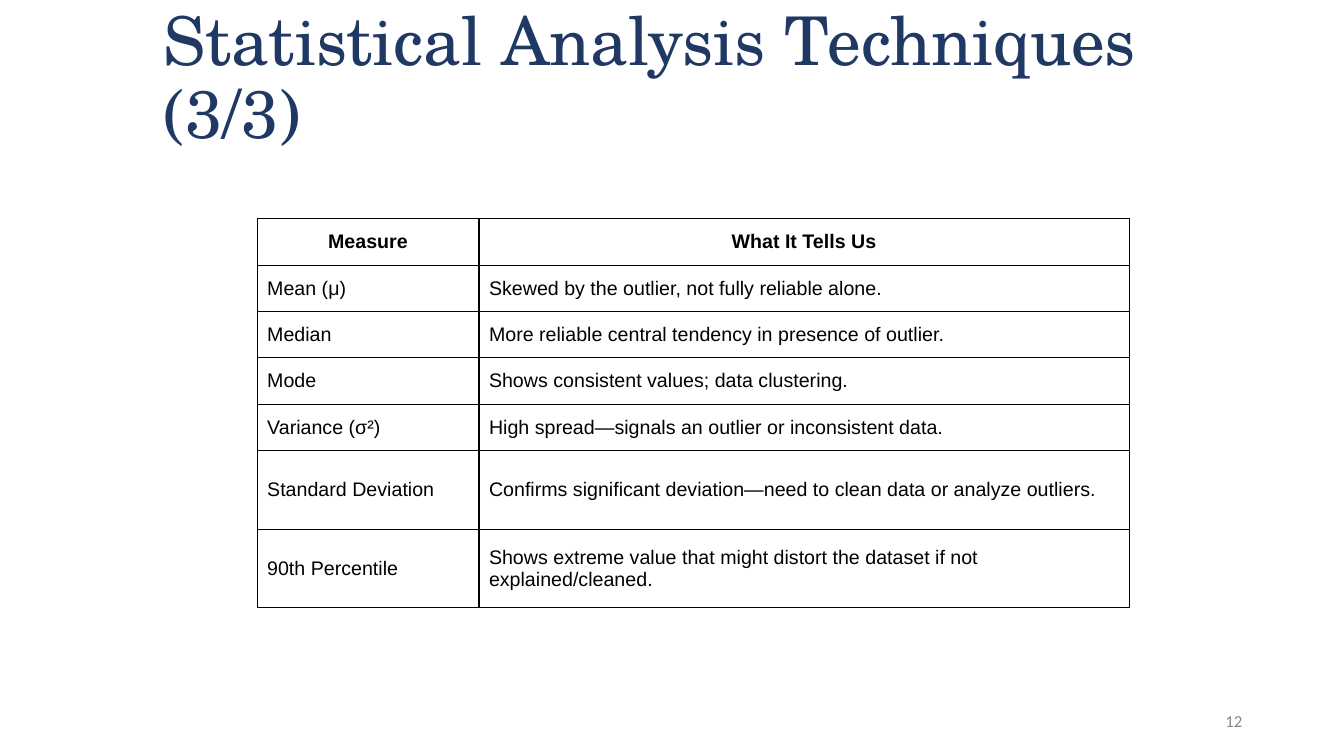
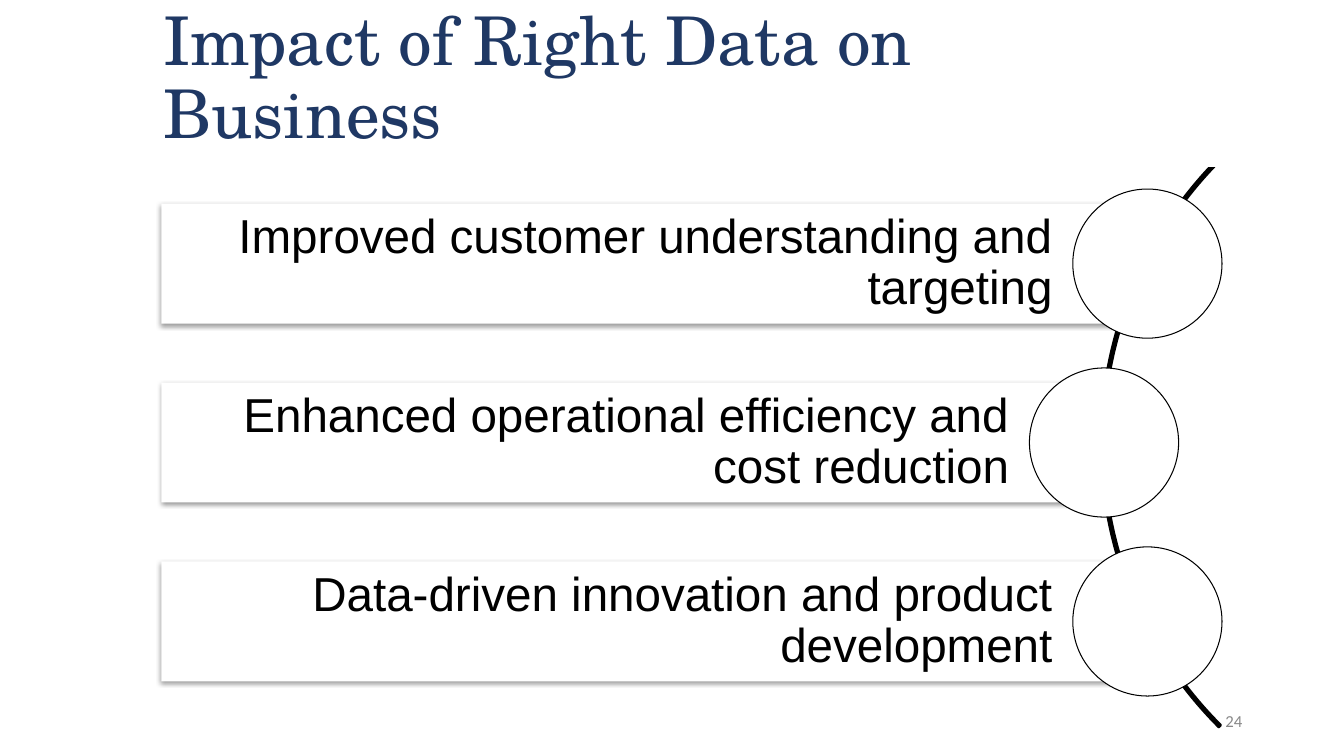
from lxml.etree import SubElement
from pptx import Presentation
from pptx.dml.color import RGBColor
from pptx.enum.shapes import MSO_SHAPE
from pptx.enum.text import MSO_ANCHOR, PP_ALIGN
from pptx.oxml.ns import qn
from pptx.util import Inches, Pt

BLACK, WHITE = "000000", "FFFFFF"
TITLE_FONT = {"name": "TeX Gyre Schola", "size": Pt(48), "color": "1F3864"}
NUMBER_FONT = {"name": "Calibri", "size": Pt(12), "color": "888888"}
TABLE_FONT = {"name": "Arial", "size": Pt(14), "color": BLACK, "bold": False}
HEADER_FONT = {**TABLE_FONT, "bold": True}
BAR_FONT = {"name": "Arial", "size": Pt(34), "color": BLACK}

TITLE_BOX = (1.52, 0.07, 10.17, 1.45)
NUMBER_BOX = (9.42, 6.95, 3, 0.4)

MEASURES = [
    ("Measure", "What It Tells Us"),
    ("Mean (μ)", "Skewed by the outlier, not fully reliable alone."),
    ("Median", "More reliable central tendency in presence of outlier."),
    ("Mode", "Shows consistent values; data clustering."),
    ("Variance (σ²)", "High spread—signals an outlier or inconsistent data."),
    ("Standard Deviation",
     "Confirms significant deviation—need to clean data or analyze outliers."),
    ("90th Percentile",
     "Shows extreme value that might distort the dataset if not explained/cleaned."),
]
IMPACTS = [
    "Improved customer understanding and targeting",
    "Enhanced operational efficiency and cost reduction",
    "Data-driven innovation and product development",
]


def rgb(color):
    return RGBColor.from_string(color)


def inches(box):
    return [Inches(length) for length in box]


def write(frame, text, font, **paragraph_format):
    """Put one formatted paragraph into a text frame."""
    paragraph = frame.paragraphs[0]
    for name, value in paragraph_format.items():
        setattr(paragraph, name, value)
    run = paragraph.add_run()
    run.text = text
    for name, value in font.items():
        if name == "color":
            run.font.color.rgb = rgb(value)
        else:
            setattr(run.font, name, value)


def add_text(slide, box, text, font, **paragraph_format):
    frame = slide.shapes.add_textbox(*inches(box)).text_frame
    frame.word_wrap = True
    frame.vertical_anchor = MSO_ANCHOR.MIDDLE
    write(frame, text, font, **paragraph_format)


def add_figure(slide, preset, box, fill=None, line=None, width=0):
    figure = slide.shapes.add_shape(preset, *inches(box))
    figure.shadow.inherit = False
    if fill:
        figure.fill.solid()
        figure.fill.fore_color.rgb = rgb(fill)
    else:
        figure.fill.background()
    if line:
        figure.line.color.rgb = rgb(line)
        figure.line.width = Pt(width)
    else:
        figure.line.fill.background()
    return figure


def drop_shadow(figure):
    effects = figure._element.spPr.find(qn("a:effectLst"))
    shadow = SubElement(effects, qn("a:outerShdw"), blurRad=str(Pt(3.1)),
                        dist=str(Pt(1.6)), dir="5400000", rotWithShape="0")
    color = SubElement(shadow, qn("a:srgbClr"), val=BLACK)
    SubElement(color, qn("a:alpha"), val="38000")


def add_borders(cell, color, width):
    properties = cell._tc.get_or_add_tcPr()
    for side in ("lnL", "lnR", "lnT", "lnB"):
        border = SubElement(properties, qn(f"a:{side}"), w=str(Pt(width)))
        fill = SubElement(border, qn("a:solidFill"))
        SubElement(fill, qn("a:srgbClr"), val=color)


def add_measure_table(slide, box):
    widths = (2.2, box[2] - 2.2)
    heights = [0.46] * 5 + [0.78] * 2
    table = slide.shapes.add_table(len(MEASURES), len(widths), *inches(box)).table
    table.first_row = table.horz_banding = False
    for column, width in zip(table.columns, widths):
        column.width = Inches(width)
    for index, (row, height, texts) in enumerate(zip(table.rows, heights, MEASURES)):
        row.height = Inches(height)
        font, alignment = ((TABLE_FONT, PP_ALIGN.LEFT) if index
                           else (HEADER_FONT, PP_ALIGN.CENTER))
        for cell, text in zip(row.cells, texts):
            add_borders(cell, BLACK, 1)
            cell.fill.background()
            cell.vertical_anchor = MSO_ANCHOR.MIDDLE
            write(cell.text_frame, text, font, alignment=alignment)


def add_impact_bar(slide, box, text):
    """Draw a shadowed bar ending at the centre of a circle."""
    left, top, width, height = box
    bar = add_figure(slide, MSO_SHAPE.RECTANGLE, box, WHITE)
    drop_shadow(bar)
    frame = bar.text_frame
    margins = {"margin_left": 0.09, "margin_top": 0.09,
               "margin_right": 0.94, "margin_bottom": 0.09}
    for name, margin in margins.items():
        setattr(frame, name, Inches(margin))
    frame.word_wrap = True
    frame.vertical_anchor = MSO_ANCHOR.MIDDLE
    write(frame, text, BAR_FONT, alignment=PP_ALIGN.RIGHT, line_spacing=0.9)

    diameter = 1.48
    circle_box = (left + width - diameter / 2, top + (height - diameter) / 2,
                  diameter, diameter)
    add_figure(slide, MSO_SHAPE.OVAL, circle_box, WHITE, BLACK, 0.75)


def add_impact_list(slide, box):
    """Stack the impact bars along an arc at the right of the box."""
    left, top, width, height = box
    bar_height = 1.19
    pitch = (height - bar_height) / (len(IMPACTS) - 1)
    diameter = 7.98
    arc_box = (left + 9.32, top + (height - diameter) / 2, diameter, diameter)
    arc = add_figure(slide, MSO_SHAPE.BLOCK_ARC, arc_box, line=BLACK, width=2)
    for index, value in enumerate((81, 135, 0.003)):
        arc.adjustments[index] = value
    for index, text in enumerate(IMPACTS):
        indent = 0.43 if index % 2 else 0
        bar_box = (left, top + index * pitch, width - indent, bar_height)
        add_impact_bar(slide, bar_box, text)
    arc_end_cover = (left + 9.72, top - 1.91, 1.93, 1.53)
    add_figure(slide, MSO_SHAPE.RECTANGLE, arc_end_cover, WHITE, WHITE, 2)


def add_slide(deck, title, number):
    """Add a slide with the shared title and slide number."""
    slide = deck.slides.add_slide(deck.slide_layouts[6])
    add_text(slide, TITLE_BOX, title, TITLE_FONT, line_spacing=0.9)
    add_text(slide, NUMBER_BOX, number, NUMBER_FONT, alignment=PP_ALIGN.RIGHT)
    return slide


def main():
    deck = Presentation()
    deck.slide_width, deck.slide_height = Inches(13.33), Inches(7.5)
    techniques = add_slide(deck, "Statistical Analysis Techniques (3/3)", "12")
    add_measure_table(techniques, (2.55, 2.17, 8.65, 3.86))
    impact = add_slide(deck, "Impact of Right Data on Business", "24")
    add_impact_list(impact, (1.6, 2.02, 9.78, 4.74))
    deck.save("out.pptx")


if __name__ == "__main__":
    main()
